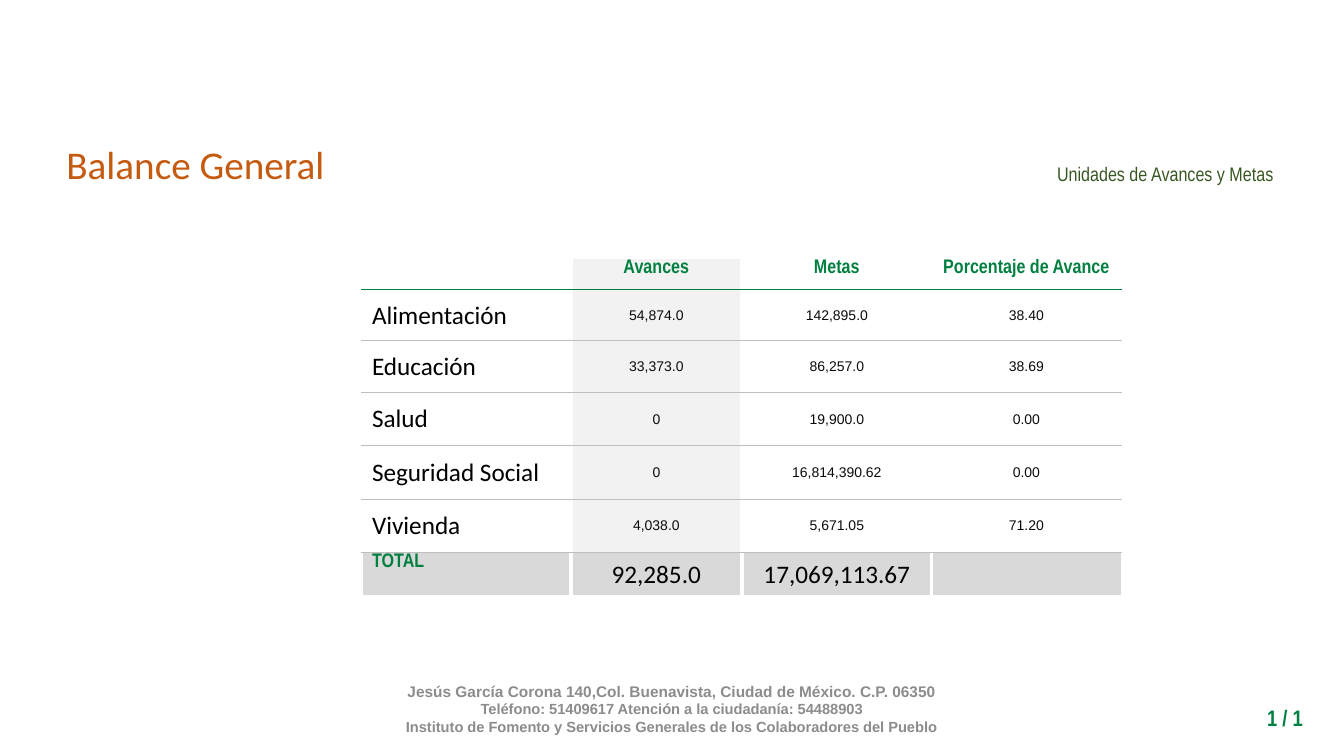
from pptx import Presentation
from pptx.dml.color import RGBColor
from pptx.enum.text import MSO_ANCHOR, PP_ALIGN
from pptx.oxml import parse_xml
from pptx.oxml.ns import nsdecls
from pptx.util import Inches, Pt

LEFT, CENTER, RIGHT = PP_ALIGN.LEFT, PP_ALIGN.CENTER, PP_ALIGN.RIGHT
TOP, MIDDLE = MSO_ANCHOR.TOP, MSO_ANCHOR.MIDDLE

# Content
FOOTER = [
    ("Jesús García Corona 140,Col. Buenavista, Ciudad de México. C.P. 06350", 11),
    ("Teléfono: 51409617 Atención a la ciudadanía: 54488903", 10.5),
    ("Instituto de Fomento y Servicios Generales de los Colaboradores del Pueblo", 10.5),
]
BALANCE = [
    ("", "Avances", "Metas", "Porcentaje de Avance"),
    ("Alimentación", "54,874.0", "142,895.0", "38.40"),
    ("Educación", "33,373.0", "86,257.0", "38.69"),
    ("Salud", "0", "19,900.0", "0.00"),
    ("Seguridad Social", "0", "16,814,390.62", "0.00"),
    ("Vivienda", "4,038.0", "5,671.05", "71.20"),
    ("TOTAL", "92,285.0", "17,069,113.67", ""),
]
COLUMN_WIDTHS = [2.07, 1.7, 1.88, 1.88]
ROW_HEIGHTS = [0.31, 0.51, 0.51, 0.53, 0.53, 0.53, 0.44]
LAST_ROW, LAST_COLUMN = len(BALANCE) - 1, len(COLUMN_WIDTHS) - 1

# Styles: font, size, colour, bold
HEADING = ("Arial Narrow", 14, "008040", True)
LABEL = ("Calibri", 18, "000000", False)
FIGURE = ("Arial", 10, "0B0B0B", False)

# Borders: colour, points
GAP = ("FFFFFF", 3)
HEADER_RULE = ("008040", 0.25)
ROW_RULE = ("BFBFBF", 0.5)


def color(value):
    return RGBColor.from_string(value)


def write(para, text, style, align):
    para.text = text
    para.alignment = align
    name, size, ink, bold = style
    for span in para.runs:
        span.font.name = name
        span.font.size = Pt(size)
        span.font.color.rgb = color(ink)
        span.font.bold = bold


def add_text(page, place, lines, align, anchor=TOP, wrap=True):
    box = page.shapes.add_textbox(*(Inches(length) for length in place))
    frame = box.text_frame
    frame.word_wrap = wrap
    frame.vertical_anchor = anchor
    for index, (text, style) in enumerate(lines):
        para = frame.add_paragraph() if index else frame.paragraphs[0]
        write(para, text, style, align)
    return frame


def set_borders(cell, borders):
    properties = cell._tc.get_or_add_tcPr()
    for index, (side, (ink, points)) in enumerate(borders):
        properties.insert(index, parse_xml(
            f'<a:ln{side} {nsdecls("a")} w="{Pt(points)}"><a:solidFill>'
            f'<a:srgbClr val="{ink}"/></a:solidFill></a:ln{side}>'))


def cell_style(row, column):
    if row == 0 or (row == LAST_ROW and column == 0):
        return HEADING
    return LABEL if column == 0 or row == LAST_ROW else FIGURE


def cell_borders(row, column):
    borders = []
    if column > 0:
        borders.append(("L", GAP))
    if column < LAST_COLUMN:
        borders.append(("R", GAP))
    if row > 0:
        borders.append(("T", HEADER_RULE if row == 1 else ROW_RULE))
    bottom = {0: HEADER_RULE, LAST_ROW: GAP}.get(row, ROW_RULE)
    return borders + [("B", bottom)]


def fill_cell(cell, row, column):
    write(cell.text_frame.paragraphs[0], BALANCE[row][column],
          cell_style(row, column), CENTER if column else LEFT)
    cell.vertical_anchor = TOP if cell_style(row, column) == HEADING else MIDDLE
    cell.margin_top, cell.margin_bottom = Inches(0.01), 0
    if row and column > 1:
        cell.margin_left = cell.margin_right = Inches(0.01)
    if row == LAST_ROW or column == 1:
        cell.fill.solid()
        cell.fill.fore_color.rgb = color("D9D9D9" if row == LAST_ROW else "F2F2F2")
    else:
        cell.fill.background()
    set_borders(cell, cell_borders(row, column))


def add_balance(page):
    table = page.shapes.add_table(
        len(ROW_HEIGHTS), len(COLUMN_WIDTHS), Inches(3.59), Inches(2.56),
        Inches(sum(COLUMN_WIDTHS)), Inches(sum(ROW_HEIGHTS))).table
    table.first_row = table.horz_banding = False
    for column, width in enumerate(COLUMN_WIDTHS):
        table.columns[column].width = Inches(width)
    for row, height in enumerate(ROW_HEIGHTS):
        table.rows[row].height = Inches(height)
        for column in range(len(COLUMN_WIDTHS)):
            fill_cell(table.cell(row, column), row, column)


def main():
    deck = Presentation()
    deck.slide_width, deck.slide_height = Inches(13.33), Inches(7.5)
    page = deck.slides.add_slide(deck.slide_layouts[6])

    # Footer address
    add_text(page, (2.88, 6.83, 7.57, 0.4),
             [(text, ("Arial", size, "8C8C8C", True)) for text, size in FOOTER],
             CENTER, MIDDLE)

    # Balance table
    add_balance(page)

    # Subtitle, page number and title
    subtitle = add_text(
        page, (6.69, 1.23, 6.04, 0.95),
        [("Unidades de Avances y Metas", ("Arial Narrow", 14, "385723", False))],
        RIGHT, MIDDLE)
    subtitle.paragraphs[0].line_spacing = 1.15
    add_text(page, (11.76, 6.94, 1.26, 0.37),
             [("1 / 1", ("Arial Narrow", 16, "008040", True))], RIGHT)
    add_text(page, (0.56, 1.34, 2.79, 0.57),
             [("Balance General", ("Calibri", 28, "C55A11", False))], LEFT, wrap=False)

    deck.save("out.pptx")


if __name__ == "__main__":
    main()
